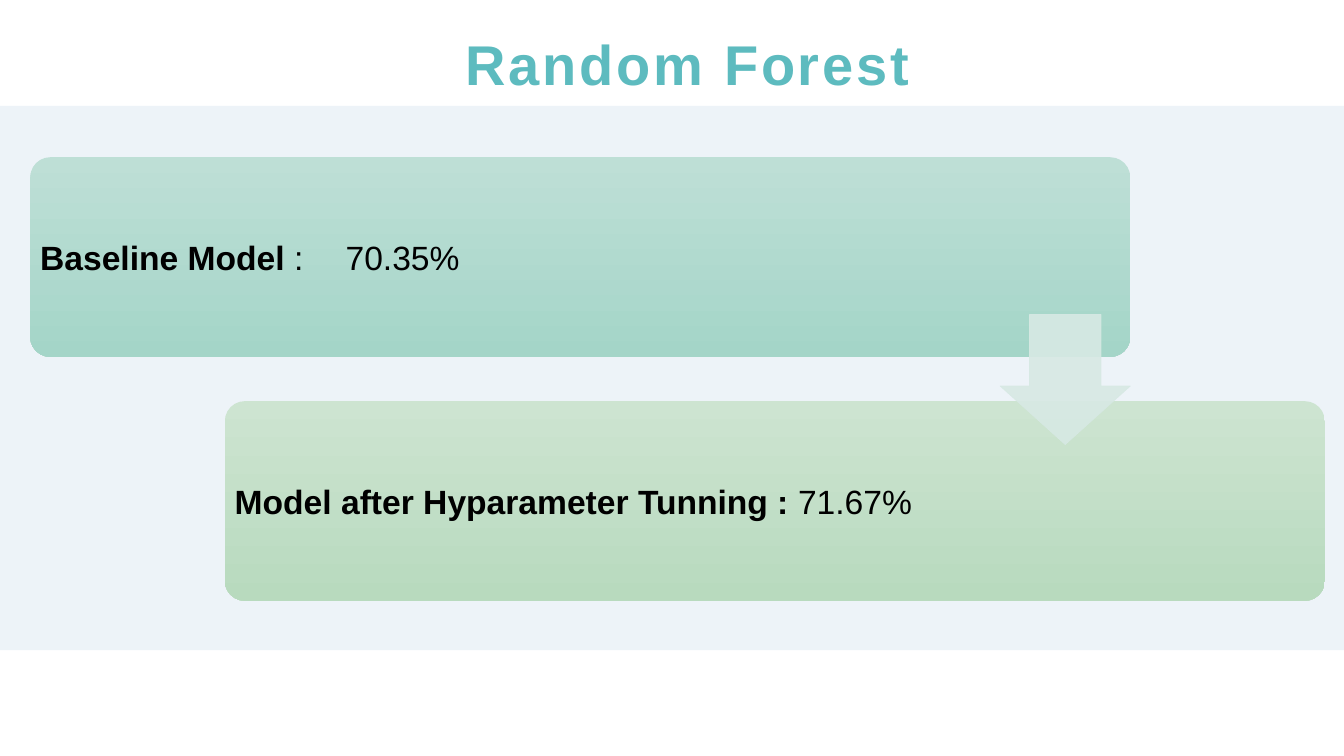
"""Build the Random Forest slide comparing baseline and tuned model accuracy."""
from lxml import etree
from pptx import Presentation
from pptx import util as u
from pptx.dml.color import RGBColor
from pptx.enum import shapes, text
from pptx.oxml.ns import qn

COLORS = {
    "band": "EDF3F8",
    "title": "5DBBBF",
    "ink": "000000",
    "arrow": "D7E9E4",
    "baseline_top": "BEDFD6",
    "baseline_bottom": "A4D5C8",
    "tuned_top": "CDE4D1",
    "tuned_bottom": "B8DABE",
}


def rgb(name):
    return RGBColor.from_string(COLORS[name])


def add_part(kind, left, top, width, height):
    part = slide.shapes.add_shape(kind, *map(u.Inches, (left, top, width, height)))
    part.shadow.inherit = False
    part.line.fill.background()
    return part


deck = Presentation()
deck.slide_width, deck.slide_height = u.Inches(13.33), u.Inches(7.5)
slide = deck.slides.add_slide(deck.slide_layouts[6])

band = add_part(shapes.MSO_SHAPE.RECTANGLE, 0, 1.05, 13.33, 5.4)
band.fill.solid()
band.fill.fore_color.rgb = rgb("band")

title = slide.shapes.add_textbox(u.Inches(1.67), u.Inches(-0.13), u.Inches(10.3), u.Inches(1.14))
title.text_frame.word_wrap = True
title.text_frame.vertical_anchor = text.MSO_ANCHOR.BOTTOM
heading = title.text_frame.paragraphs[0]
heading.text = "Random Forest"
heading.alignment = text.PP_ALIGN.CENTER
heading_font = heading.runs[0].font
heading_font.name, heading_font.size, heading_font.bold = "Arial", u.Pt(40), True
heading_font.color.rgb = rgb("title")
heading.runs[0]._r.get_or_add_rPr().set("spc", "200")

models = [
    ("baseline", 0.3, 1.56, "Baseline Model", " :\t70.35%"),
    ("tuned", 2.23, 3.98, "Model after Hyparameter Tunning : ", "71.67%"),
]
for model, left, top, label, score in models:
    card = add_part(shapes.MSO_SHAPE.ROUNDED_RECTANGLE, left, top, 10.91, 1.98)
    card.adjustments[0] = 0.1
    card.fill.gradient()
    card.fill.gradient_angle = 270
    for stop, edge in zip(card.fill.gradient_stops, ("top", "bottom")):
        stop.color.rgb = rgb(f"{model}_{edge}")
    frame = card.text_frame
    frame.word_wrap = True
    frame.vertical_anchor = text.MSO_ANCHOR.MIDDLE
    frame.margin_left = frame.margin_right = u.Inches(0.04)
    line = frame.paragraphs[0]
    line.alignment = text.PP_ALIGN.LEFT
    tabs = etree.SubElement(line._p.get_or_add_pPr(), qn("a:tabLst"))
    etree.SubElement(tabs, qn("a:tab"), pos=str(u.Inches(3.03)), algn="l")
    for words, bold in ((label, True), (score, False)):
        run = line.add_run()
        run.text = words
        run.font.name, run.font.size, run.font.bold = "Arial", u.Pt(24), bold
        run.font.color.rgb = rgb("ink")

arrow = add_part(shapes.MSO_SHAPE.DOWN_ARROW, 9.92, 3.12, 1.29, 1.29)
arrow.adjustments[0], arrow.adjustments[1] = 0.55, 0.45
arrow.line.width = u.Pt(0.5)
for paint in (arrow.fill, arrow.line.fill):
    paint.solid()
    paint.fore_color.rgb = rgb("arrow")
for tint in arrow._element.spPr.iter(qn("a:srgbClr")):
    etree.SubElement(tint, qn("a:alpha"), val="90000")

deck.save("out.pptx")
